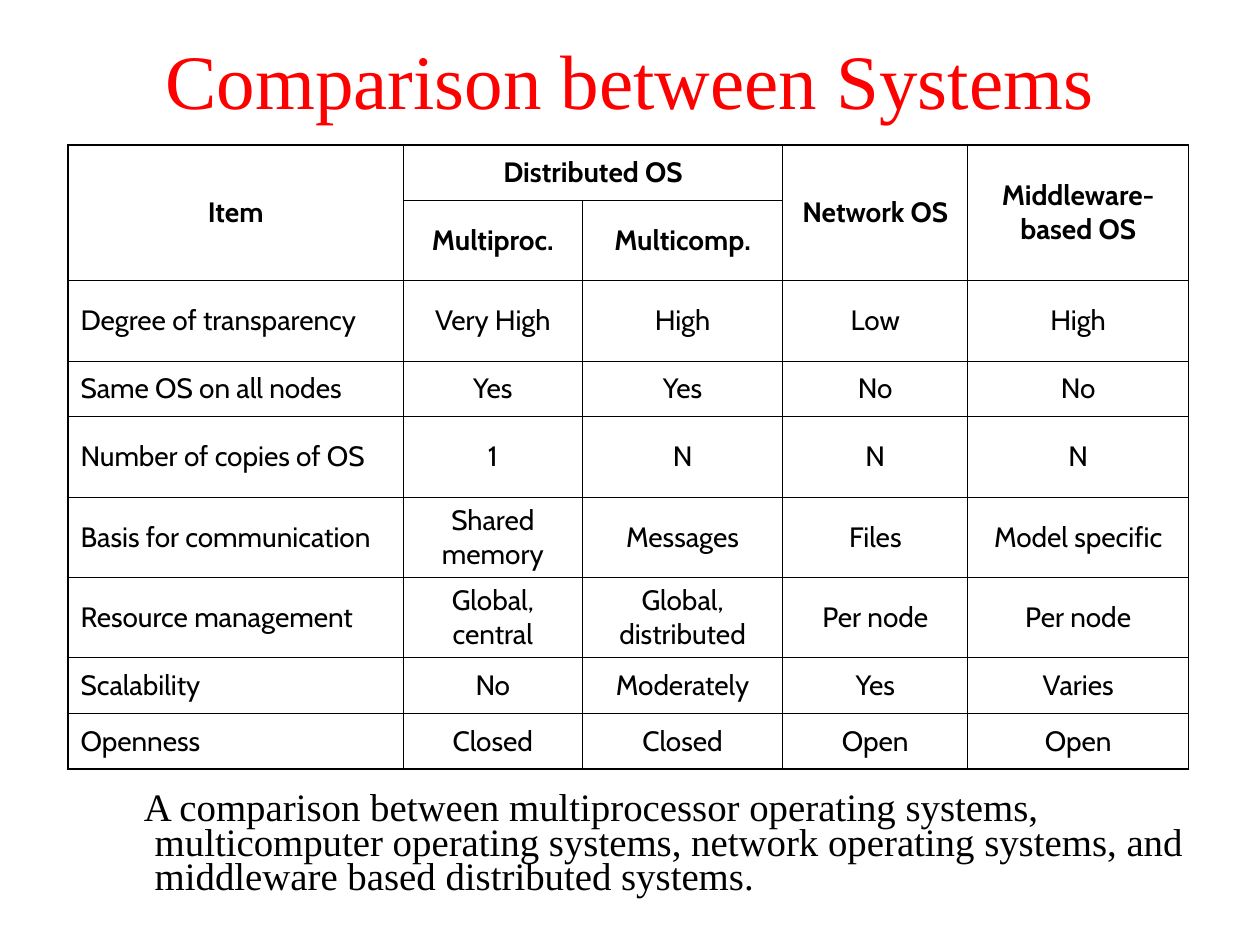
from lxml import etree
from pptx import Presentation
from pptx.dml.color import RGBColor
from pptx.enum.text import MSO_ANCHOR, PP_ALIGN
from pptx.oxml.ns import qn
from pptx.util import Cm, Pt

LEFT, CENTER = PP_ALIGN.LEFT, PP_ALIGN.CENTER
MIDDLE = MSO_ANCHOR.MIDDLE
RED = RGBColor(0xFF, 0x00, 0x00)
BLACK = RGBColor(0x00, 0x00, 0x00)
SERIF, SANS = "Times New Roman", "Cabin"
THIN, THICK = Pt(0.45), Pt(1.08)

TITLE = "Comparison between Systems"
CAPTION = ("A comparison between multiprocessor operating systems, "
           "multicomputer operating systems, network operating systems, "
           "and middleware based distributed systems.")
HEADER_ROWS = 2
ROWS = [
    ["Item", "Distributed OS", "", "Network OS", "Middleware-based OS"],
    ["", "Multiproc.", "Multicomp.", "", ""],
    ["Degree of transparency", "Very High", "High", "Low", "High"],
    ["Same OS on all nodes", "Yes", "Yes", "No", "No"],
    ["Number of copies of OS", "1", "N", "N", "N"],
    ["Basis for communication", "Shared memory", "Messages", "Files", "Model specific"],
    ["Resource management", "Global, central", "Global, distributed", "Per node", "Per node"],
    ["Scalability", "No", "Moderately", "Yes", "Varies"],
    ["Openness", "Closed", "Closed", "Open", "Open"],
]
MERGES = [((0, 0), (1, 0)), ((0, 1), (0, 2)), ((0, 3), (1, 3)), ((0, 4), (1, 4))]
COL_WIDTHS = [6.76, 3.61, 4.04, 3.73, 4.45]
SHORT, TALL = 1.12, 1.62
ROW_HEIGHTS = [SHORT, TALL, TALL, SHORT, TALL, TALL, TALL, SHORT, SHORT]


def add_text(p, text, font, size, color, align, bold=False):
    """Add one formatted run to a paragraph."""
    p.alignment = align
    r = p.add_run()
    r.text = text
    r.font.name = font
    r.font.size = Pt(size)
    r.font.color.rgb = color
    r.font.bold = bold


def set_borders(cell, widths):
    """Draw the left, right, top and bottom borders of a cell."""
    tc_pr = cell._tc.get_or_add_tcPr()
    for side, width in zip("LRTB", widths):
        ln = etree.SubElement(tc_pr, qn(f"a:ln{side}"), w=str(int(width)))
        fill = etree.SubElement(ln, qn("a:solidFill"))
        etree.SubElement(fill, qn("a:srgbClr"), val=str(BLACK))


def fill_title(s, left, top, width, height):
    """Place and format the title placeholder."""
    sp = s.shapes.title
    sp.left, sp.top, sp.width, sp.height = left, top, width, height
    tf = sp.text_frame
    tf.vertical_anchor = MIDDLE
    add_text(tf.paragraphs[0], TITLE, SERIF, 44, RED, CENTER)


def add_comparison(s, left, top, width, height):
    """Add the table that compares the systems."""
    n_rows, n_cols = len(ROWS), len(COL_WIDTHS)
    table = s.shapes.add_table(n_rows, n_cols, left, top, width, height).table
    table.first_row = table.horz_banding = False
    for col, w in zip(table.columns, COL_WIDTHS):
        col.width = Cm(w)
    for row, h in zip(table.rows, ROW_HEIGHTS):
        row.height = Cm(h)
    for first, last in MERGES:
        table.cell(*first).merge(table.cell(*last))
    for i, texts in enumerate(ROWS):
        for j, text in enumerate(texts):
            cell = table.cell(i, j)
            outer = (j == 0, j == n_cols - 1, i == 0, i == n_rows - 1)
            set_borders(cell, [THICK if edge else THIN for edge in outer])
            cell.fill.background()
            cell.vertical_anchor = MIDDLE
            if text:
                header = i < HEADER_ROWS
                align = CENTER if header or j else LEFT
                add_text(cell.text_frame.paragraphs[0], text, SANS, 16, BLACK, align, header)


def add_caption(s, left, top, width, height):
    """Add the hanging caption below the table."""
    tf = s.shapes.add_textbox(left, top, width, height).text_frame
    tf.word_wrap = True
    p = tf.paragraphs[0]
    p.line_spacing = 0.74
    p_pr = p._p.get_or_add_pPr()
    p_pr.set("marL", str(Cm(0.97)))
    p_pr.set("indent", str(-Cm(0.22)))
    add_text(p, CAPTION, SERIF, 22.2, BLACK, LEFT)


def main():
    """Build the slide and save it."""
    prs = Presentation()
    prs.slide_width, prs.slide_height = Cm(25.4), Cm(19.05)
    s = prs.slides.add_slide(prs.slide_layouts[5])
    fill_title(s, 0, 0, prs.slide_width, Cm(3.18))
    add_comparison(s, Cm(1.37), Cm(2.92), Cm(sum(COL_WIDTHS)), Cm(sum(ROW_HEIGHTS)))
    add_caption(s, Cm(1.9), Cm(15.88), Cm(22.23), Cm(2.34))
    prs.save("out.pptx")


if __name__ == "__main__":
    main()
